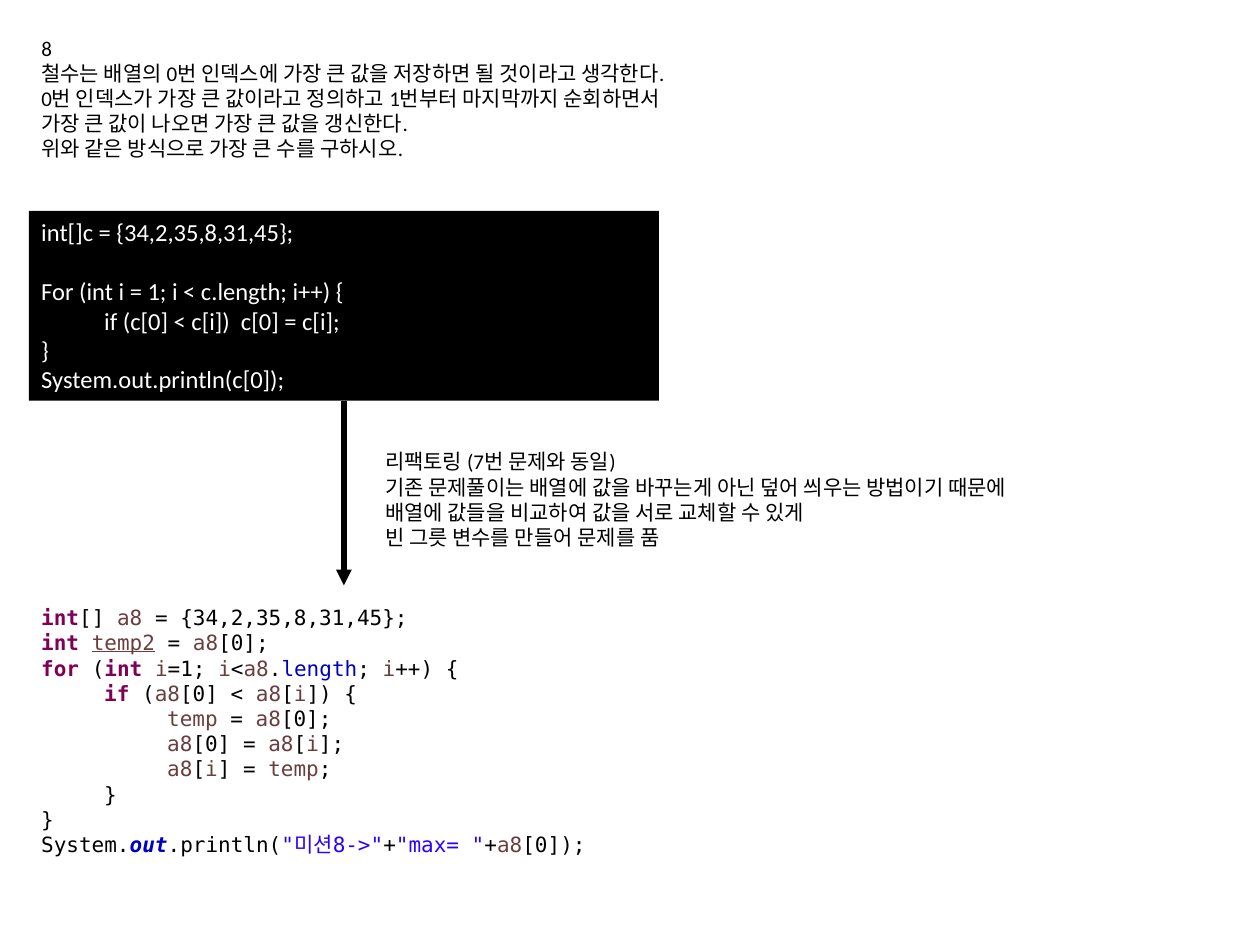
from itertools import groupby

from lxml import etree
from pptx import Presentation
from pptx.dml.color import RGBColor
from pptx.enum import shapes, text
from pptx.oxml.ns import qn
from pptx.util import Pt

BLACK = RGBColor(0, 0, 0)
WHITE = RGBColor(255, 255, 255)
PLUM = RGBColor(0x7F, 0, 0x55)
BROWN = RGBColor(0x6A, 0x3E, 0x3E)
BLUE = RGBColor(0, 0, 0xC0)
VIOLET = RGBColor(0x2A, 0, 0xFF)

SANS, MONO = "Calibri", "DejaVu Sans Mono"
LEFT = 16.5

STYLES = {
    "plain": {"color": BLACK},
    "key": {"color": PLUM, "bold": True},
    "name": {"color": BROWN},
    "unused": {"color": BROWN, "underline": True},
    "field": {"color": BLUE},
    "static": {"color": BLUE, "bold": True, "italic": True},
    "string": {"color": VIOLET},
}
WORDS = {
    "int": "key", "for": "key", "if": "key",
    "a8": "name", "i": "name", "temp": "name", "temp2": "unused",
    "length": "field", "out": "static",
}

TASK = [
    "8",
    "철수는 배열의 0번 인덱스에 가장 큰 값을 저장하면 될 것이라고 생각한다.",
    "0번 인덱스가 가장 큰 값이라고 정의하고 1번부터 마지막까지 순회하면서",
    "가장 큰 값이 나오면 가장 큰 값을 갱신한다.",
    "위와 같은 방식으로 가장 큰 수를 구하시오.",
]
DRAFT = [
    "int[]c = {34,2,35,8,31,45};",
    "For (int i = 1; i < c.length; i++) {",
    "\tif (c[0] < c[i])  c[0] = c[i];",
    "}",
    "System.out.println(c[0]);",
]
REMARK = [
    "리팩토링 (7번 문제와 동일)",
    "기존 문제풀이는 배열에 값을 바꾸는게 아닌 덮어 씌우는 방법이기 때문에",
    "배열에 값들을 비교하여 값을 서로 교체할 수 있게",
    "빈 그릇 변수를 만들어 문제를 품",
]
FINAL = [
    "int[] a8 = {34,2,35,8,31,45};",
    "int temp2 = a8[0];",
    "for (int i=1; i<a8.length; i++) {",
    "\tif (a8[0] < a8[i]) {",
    "\t\ttemp = a8[0];",
    "\t\ta8[0] = a8[i];",
    "\t\ta8[i] = temp;",
    "\t}",
    "}",
    'System.out.println("미션8->"+"max= "+a8[0]);',
]


def tokens(line):
    """Yield (style, text) for each word, quoted string or group of signs."""
    for index, part in enumerate(line.split('"')):
        if index % 2:
            yield "string", f'"{part}"'
            continue
        for _, chars in groupby(part, str.isalnum):
            word = "".join(chars)
            yield WORDS.get(word, "plain"), word


def add_run(para, words, face, size, look):
    run = para.add_run()
    run.text = words
    run.font.name, run.font.size = face, Pt(size)
    for key, value in look.items():
        if key == "color":
            run.font.color.rgb = value
        else:
            setattr(run.font, key, value)


def lines_of(shape, lines):
    """Set up the frame and yield a left-aligned paragraph with each line."""
    frame = shape.text_frame
    setup = {
        "word_wrap": True,
        "auto_size": text.MSO_AUTO_SIZE.SHAPE_TO_FIT_TEXT,
        "vertical_anchor": text.MSO_ANCHOR.TOP,
    }
    for key, value in setup.items():
        setattr(frame, key, value)
    for index, line in enumerate(lines):
        para = frame.add_paragraph() if index else frame.paragraphs[0]
        para.alignment = text.PP_ALIGN.LEFT
        yield para, line


def add_note(slide, box, lines):
    shape = slide.shapes.add_textbox(*map(Pt, box))
    for para, line in lines_of(shape, lines):
        add_run(para, line, SANS, 12, STYLES["plain"])


def add_draft(slide, box, lines):
    """Black code panel with a gap of one line after the declaration."""
    panel = slide.shapes.add_shape(shapes.MSO_SHAPE.RECTANGLE, *map(Pt, box))
    panel.shadow.inherit = False
    panel.fill.solid()
    panel.fill.fore_color.rgb = BLACK
    panel.line.fill.background()
    for para, line in lines_of(panel, lines):
        add_run(para, line, SANS, 14, {"color": WHITE})
    panel.text_frame.paragraphs[1].space_before = Pt(17)
    return panel


def add_final(slide, box, lines):
    """Code with coloured syntax."""
    shape = slide.shapes.add_textbox(*map(Pt, box))
    for para, line in lines_of(shape, lines):
        for style, group in groupby(tokens(line), lambda pair: pair[0]):
            words = "".join(word for _, word in group)
            add_run(para, words, MONO, 12, STYLES[style])


def add_arrow(slide, panel, end):
    """Arrow straight down from the panel to the height given."""
    mid = panel.left + panel.width // 2
    arrow = slide.shapes.add_connector(
        shapes.MSO_CONNECTOR.STRAIGHT, mid, panel.top + panel.height, mid, Pt(end))
    arrow.begin_connect(panel, 2)
    arrow.line.width = Pt(3)
    arrow.line.color.rgb = BLACK
    etree.SubElement(arrow.line._get_or_add_ln(), qn("a:tailEnd"), type="triangle")
    etree.SubElement(arrow._element.spPr, qn("a:effectLst"))


def main():
    deck = Presentation()
    deck.slide_width, deck.slide_height = Pt(720), Pt(540)
    slide = deck.slides.add_slide(deck.slide_layouts[6])
    add_note(slide, (LEFT, 16.5, 464, 80), TASK)
    panel = add_draft(slide, (LEFT, 120.5, 360, 108.5), DRAFT)
    add_final(slide, (LEFT, 342, 360, 152.5), FINAL)
    add_arrow(slide, panel, 334.5)
    add_note(slide, (213, 253, 407, 65.5), REMARK)
    deck.save("out.pptx")


if __name__ == "__main__":
    main()
